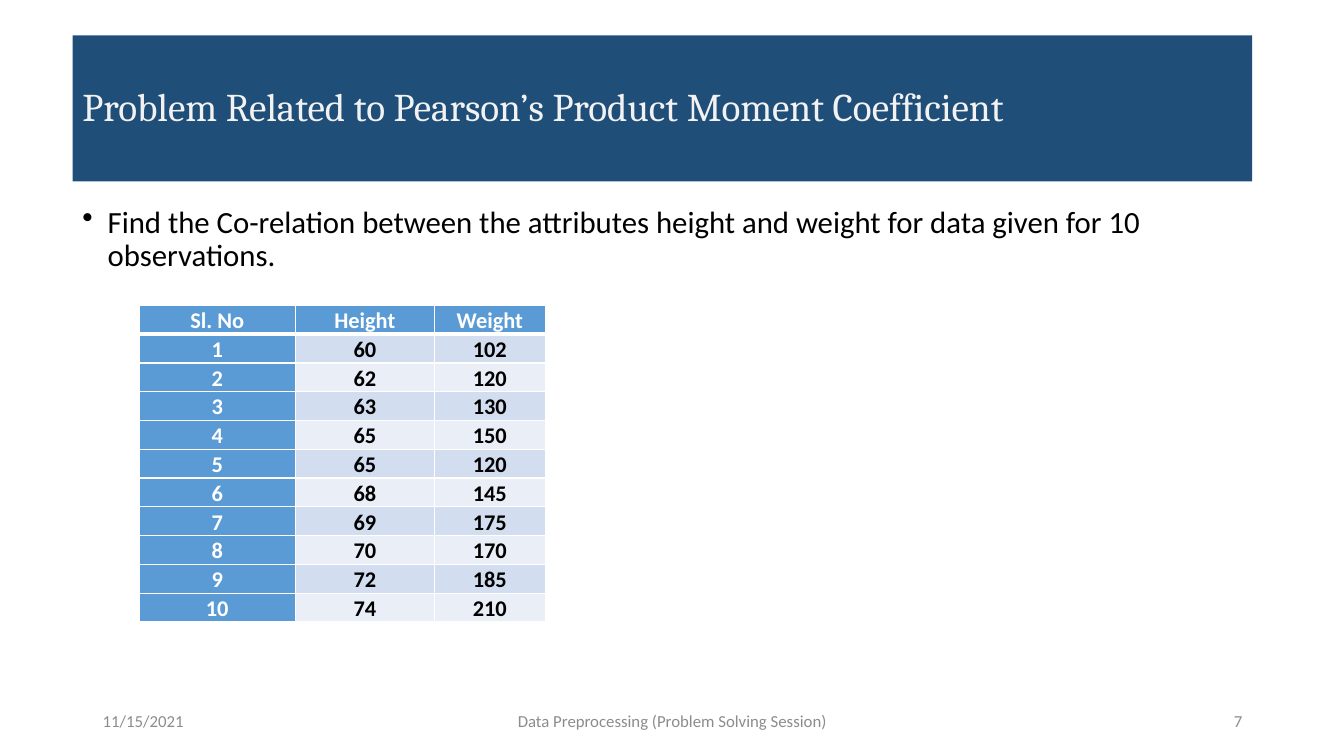
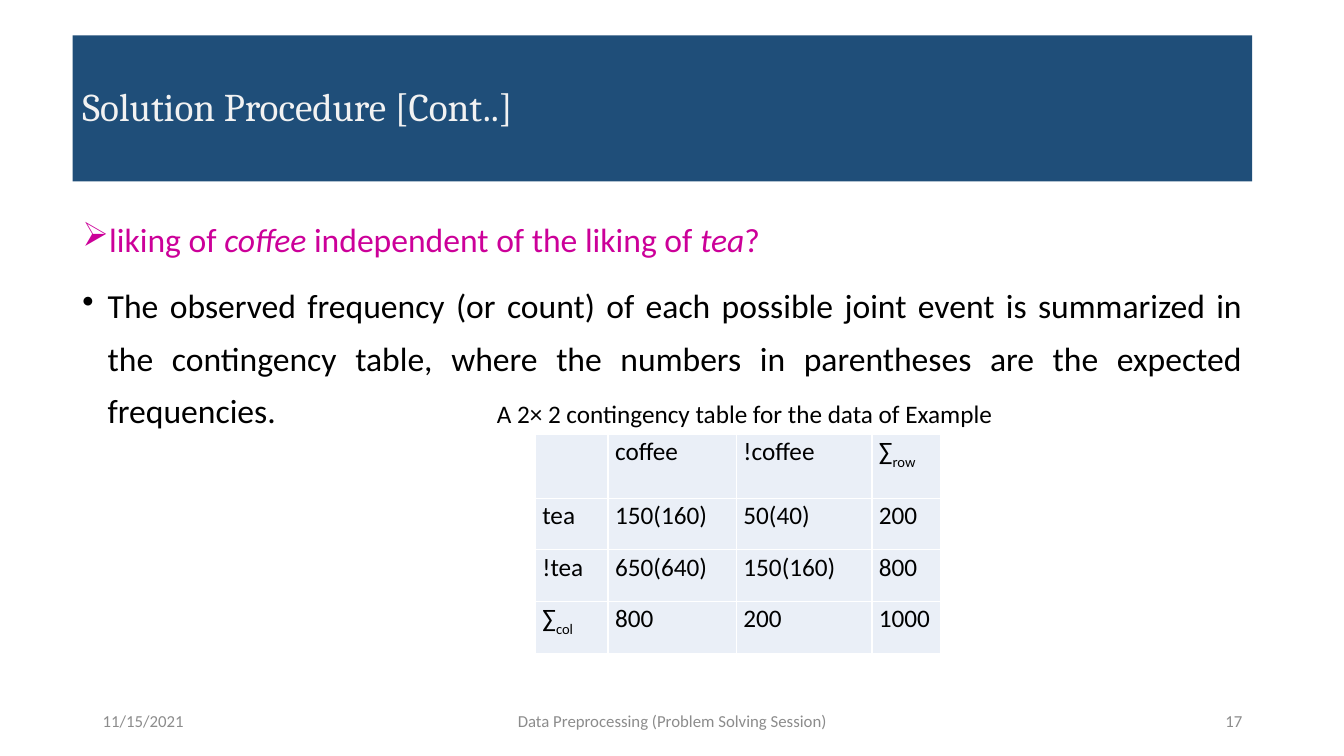
from dataclasses import dataclass
from pptx import Presentation
from pptx.dml.color import RGBColor
from pptx.enum.shapes import MSO_SHAPE
from pptx.enum.text import MSO_ANCHOR, PP_ALIGN
from pptx.oxml.ns import qn
from pptx.util import Inches, Pt
from lxml.etree import SubElement


@dataclass(frozen=True)
class Theme:
    head: str = "Cambria"
    text: str = "Calibri"
    navy: str = "1F4E79"
    blue: str = "5B9BD5"
    mid: str = "D2DEEF"
    pale: str = "EAEFF7"
    white: str = "FFFFFF"
    snow: str = "F2F2F2"
    black: str = "000000"
    gray: str = "8C8C8C"
    pink: str = "CC0099"
    title: int = 28
    large: int = 24
    body: int = 22
    label: int = 18
    cell: int = 16
    small: int = 12


@dataclass(frozen=True)
class Box:
    """Left, top, width and height in inches."""
    x: float
    y: float
    w: float
    h: float

    def share(self, x, y, w, h):
        """A box inside this one, given in percent of its size."""
        return Box(self.x + self.w * x / 100, self.y + self.h * y / 100,
                   self.w * w / 100, self.h * h / 100)

    def emu(self):
        return [Inches(side) for side in (self.x, self.y, self.w, self.h)]


T = Theme()
PAGE = Box(0, 0, 13.33, 7.5)
BAND = PAGE.share(5.4, 4.67, 87.77, 19.33)
BODY = PAGE.share(5.4, 26.67, 87.77, 63.47)
FOOT = PAGE.share(6.9, 92.67, 86.27, 5.33)
LEFT, MID, RIGHT, JUST = (PP_ALIGN.LEFT, PP_ALIGN.CENTER,
                          PP_ALIGN.RIGHT, PP_ALIGN.JUSTIFY)


def rgb(code):
    return RGBColor.from_string(code)


def write(para, text, size, color, face=T.text, align=LEFT, line=1.0,
          bold=False):
    """Fill a paragraph with a string or with (text, mark) pairs."""
    para.alignment, para.line_spacing = align, line
    font = para.font
    font.name, font.size, font.bold = face, Pt(size), bold
    font.color.rgb = rgb(color)
    for words, mark in [(text, "")] if isinstance(text, str) else text:
        run = para.add_run()
        run.text = words
        if mark == "italic":
            run.font.italic = True
        elif mark == "sub":
            run.font._element.set("baseline", "-25000")


def bullet(para, sign):
    para.space_before = Pt(10)
    props = para._p.get_or_add_pPr()
    props.set("marL", str(Inches(0.25)))
    props.set("indent", str(Inches(-0.25)))
    mark = SubElement(props, qn("a:buChar"))
    mark.set("char", sign)
    rest = props.find(qn("a:defRPr"))
    if rest is not None:
        mark.addnext(rest)


def label(slide, box, text, size, color, align=LEFT):
    frame = slide.shapes.add_textbox(*box.emu()).text_frame
    frame.word_wrap, frame.vertical_anchor = True, MSO_ANCHOR.MIDDLE
    write(frame.paragraphs[0], text, size, color, align=align)


def band(slide, box, text):
    shape = slide.shapes.add_shape(MSO_SHAPE.RECTANGLE, *box.emu())
    shape.shadow.inherit = False
    shape.fill.solid()
    shape.fill.fore_color.rgb = rgb(T.navy)
    shape.line.fill.background()
    frame = shape.text_frame
    frame.word_wrap, frame.vertical_anchor = True, MSO_ANCHOR.MIDDLE
    write(frame.paragraphs[0], text, T.title, T.snow, T.head, line=0.9)


def footer(slide, box, number):
    for x, w, text, align in (
            (0, 26.09, "11/15/2021", LEFT),
            (30.43, 39.13, "Data Preprocessing (Problem Solving Session)", MID),
            (73.91, 26.09, str(number), RIGHT)):
        label(slide, box.share(x, 0, w, 100), text, T.small, T.gray, align)


def points(slide, box, items, size, align, line):
    """Bulleted text from (sign, color, text) items."""
    frame = slide.shapes.add_textbox(*box.emu()).text_frame
    frame.word_wrap = True
    for i, (sign, color, text) in enumerate(items):
        para = frame.add_paragraph() if i else frame.paragraphs[0]
        write(para, text, size, color, align=align, line=line)
        bullet(para, sign)


def edge(cell, bottom):
    props = cell._tc.get_or_add_tcPr()
    for side, width in (("L", 1), ("R", 1), ("T", 1), ("B", bottom)):
        line = SubElement(props, qn("a:ln" + side))
        line.set("w", str(Pt(width)))
        fill = SubElement(line, qn("a:solidFill"))
        SubElement(fill, qn("a:srgbClr")).set("val", T.white)


def split(total, sizes):
    return [Inches(total * size / sum(sizes)) for size in sizes]


def grid(slide, box, rows, cols, tall, style, after=0, **look):
    """A table; cols and tall are relative sizes, style(r, c) gives
    the fill, the text color and the bottom line of a cell."""
    table = slide.shapes.add_table(len(rows), len(cols), *box.emu()).table
    table.first_row = table.horz_banding = False
    for col, span in zip(table.columns, split(box.w, cols)):
        col.width = span
    for row, span in zip(table.rows, split(box.h, tall)):
        row.height = span
    for r, row in enumerate(rows):
        for c, text in enumerate(row):
            cell = table.cell(r, c)
            fill, color, bottom = style(r, c)
            edge(cell, bottom)
            cell.fill.solid()
            cell.fill.fore_color.rgb = rgb(fill)
            cell.margin_left = cell.margin_right = Inches(0.07)
            cell.margin_top = cell.margin_bottom = 0
            para = cell.text_frame.paragraphs[0]
            para.space_after = Pt(after)
            write(para, text, color=color, line=1.07, **look)


def banded(r, c):
    if r == 0 or c == 0:
        return T.blue, T.white, 1 if r else 3
    return T.mid if r % 2 else T.pale, T.black, 1


def plain(r, c):
    return T.pale, T.black, 1


def start(deck, title, number):
    slide = deck.slides.add_slide(deck.slide_layouts[6])
    band(slide, BAND, title)
    footer(slide, FOOT, number)
    return slide


def pearson(deck):
    slide = start(
        deck, "Problem Related to Pearson’s Product Moment Coefficient", 7)
    points(slide, BODY, [
        ("•", T.black, "Find the Co-relation between the attributes height "
         "and weight for data given for 10 observations.")],
        T.body, LEFT, 0.9)
    height = (60, 62, 63, 65, 65, 68, 69, 70, 72, 74)
    weight = (102, 120, 130, 150, 120, 145, 175, 170, 185, 210)
    rows = [("Sl. No", "Height", "Weight")]
    rows += [[str(n) for n in (i, *pair)]
             for i, pair in enumerate(zip(height, weight), 1)]
    grid(slide, PAGE.share(10.35, 40.4, 30.23, 41.87), rows,
         (1.55, 1.38, 1.1), [1] * len(rows), banded,
         size=T.cell, align=MID, bold=True)


def tea(deck):
    slide = start(deck, "Solution Procedure [Cont..]", 17)
    ask = [("liking of ", ""), ("coffee", "italic"),
           (" independent of the liking of ", ""), ("tea", "italic"),
           ("?", "")]
    points(slide, BODY, [
        ("➢", T.pink, ask),
        ("•", T.black, "The observed frequency (or count) of each possible "
         "joint event is summarized in the contingency table, where the "
         "numbers in parentheses are the expected frequencies.")],
        T.large, JUST, 1.3)
    label(slide, PAGE.share(36.23, 52, 39.76, 5.33),
          "A 2× 2 contingency table for the data of Example",
          T.label, T.black)
    rows = [("", "coffee", "!coffee", [("∑", ""), ("row", "sub")]),
            ("tea", "150(160)", "50(40)", "200"),
            ("!tea", "650(640)", "150(160)", "800"),
            ([("∑", ""), ("col", "sub")], "800", "200", "1000")]
    grid(slide, PAGE.share(39.83, 57.47, 30.16, 28.93), rows,
         (0.72, 1.27, 1.34, 0.68), (0.63, 0.51, 0.51, 0.51), plain,
         after=6, size=T.label, align=JUST)


def main():
    deck = Presentation()
    deck.slide_width, deck.slide_height = Inches(PAGE.w), Inches(PAGE.h)
    pearson(deck)
    tea(deck)
    deck.save("out.pptx")


if __name__ == "__main__":
    main()
